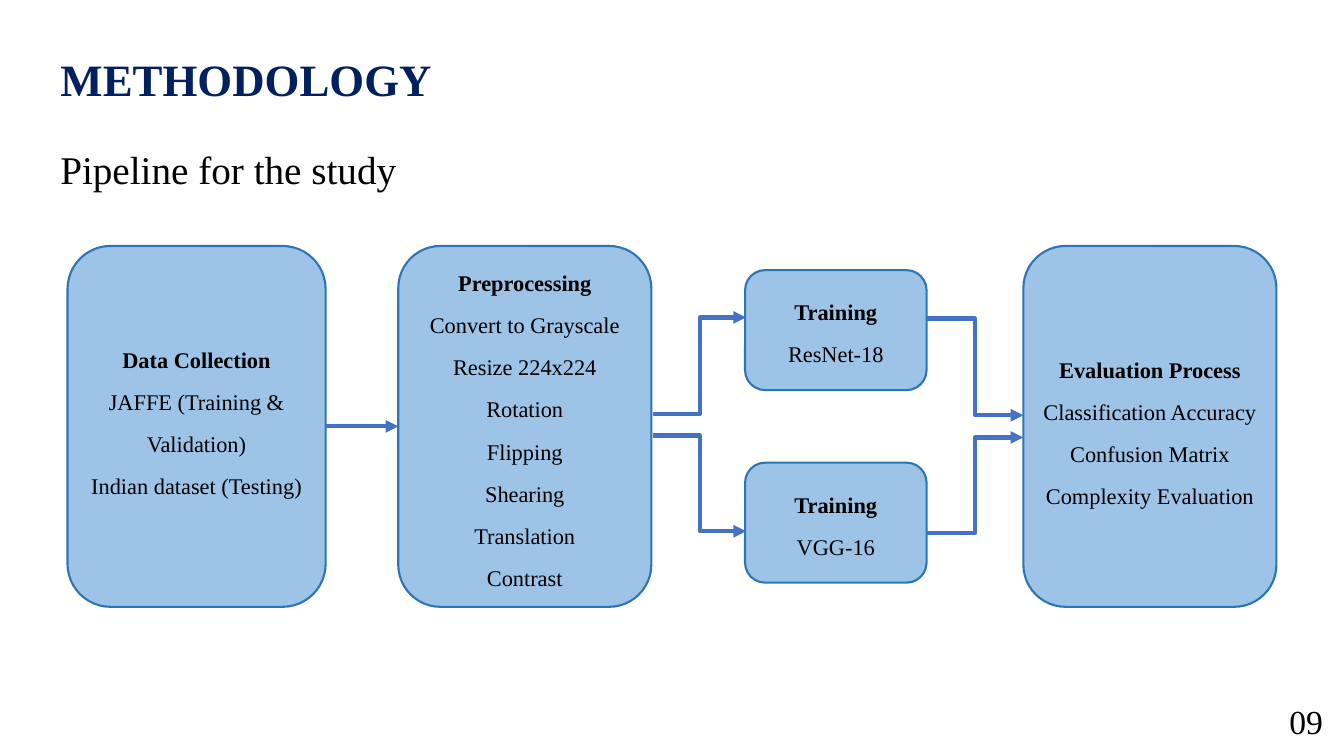
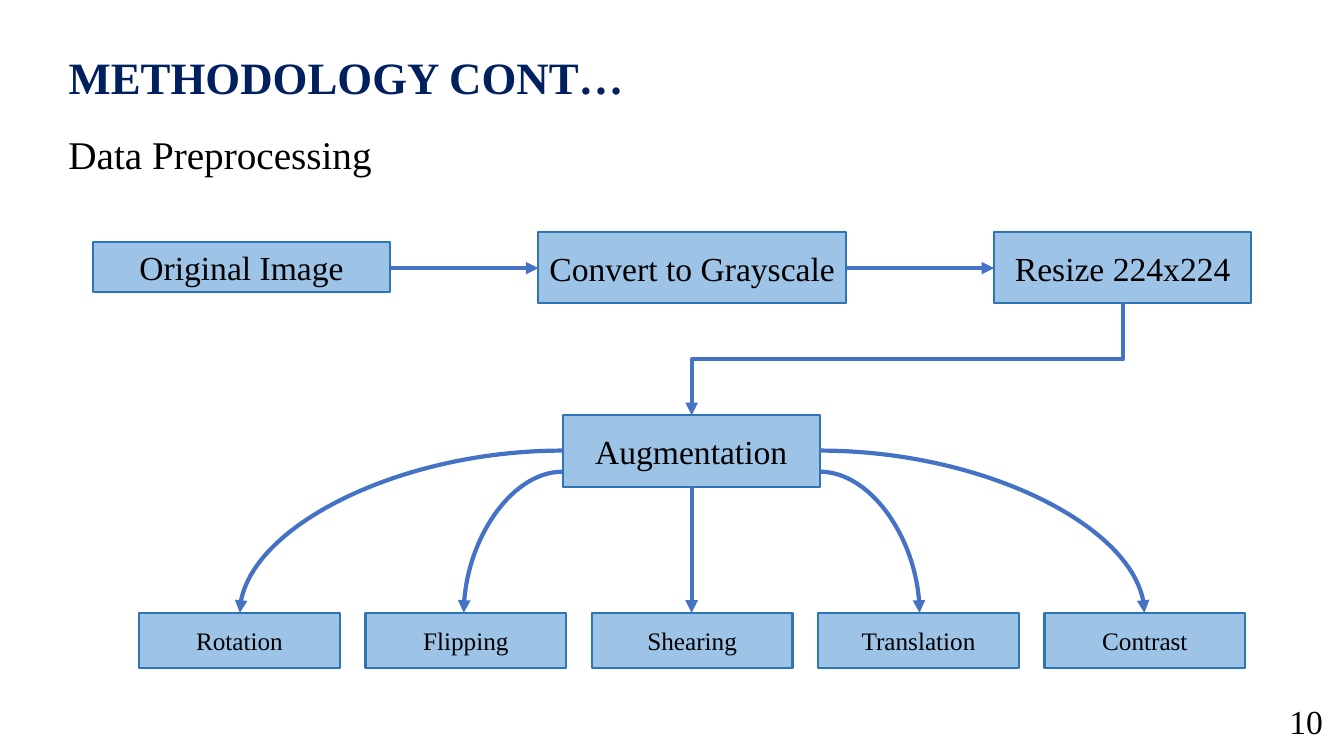
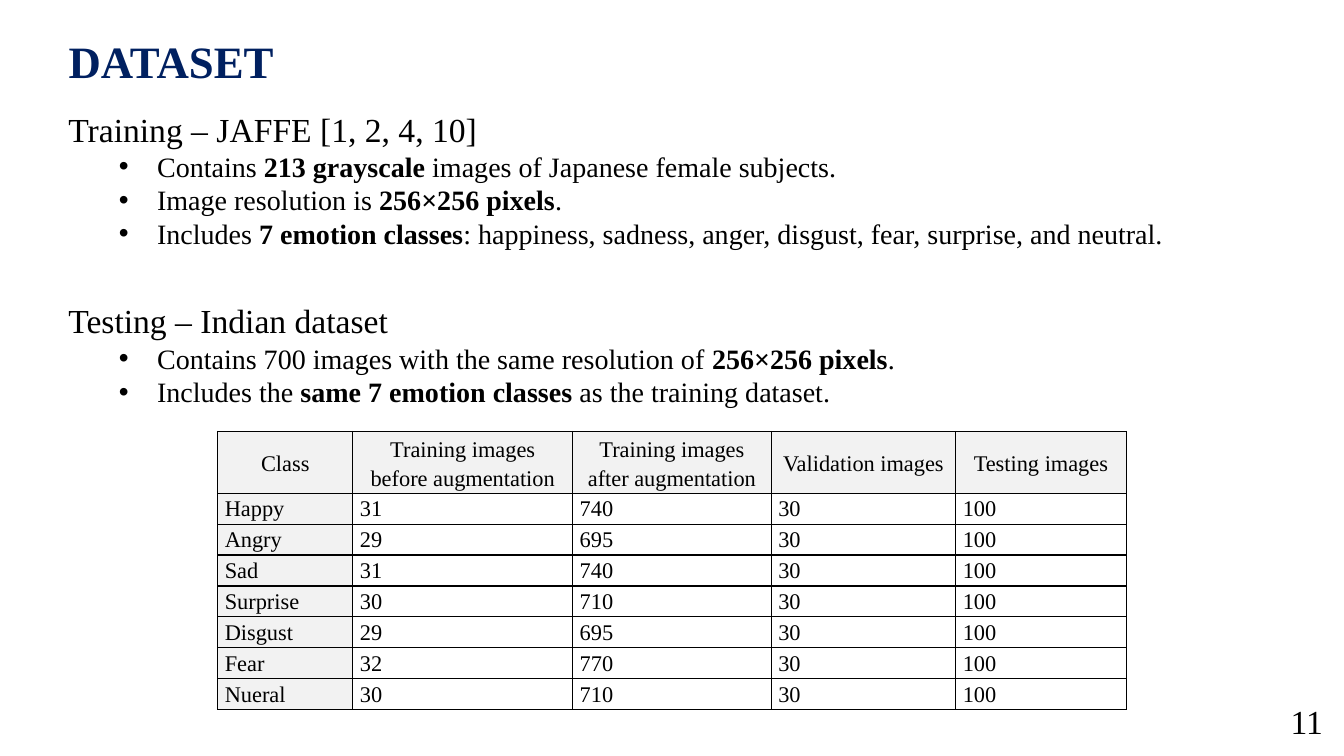
from lxml.etree import SubElement
from pptx import Presentation
from pptx.dml.color import RGBColor
from pptx.enum.shapes import MSO_CONNECTOR, MSO_SHAPE
from pptx.enum.text import MSO_ANCHOR, PP_ALIGN
from pptx.oxml.ns import qn
from pptx.util import Inches, Pt

FONT = "Times New Roman"
NAVY = RGBColor(0x00, 0x20, 0x60)
BLACK = RGBColor(0x00, 0x00, 0x00)
WHITE = RGBColor(0xFF, 0xFF, 0xFF)
GRAY = RGBColor(0xF2, 0xF2, 0xF2)
BOX_FILL = RGBColor(0x9D, 0xC3, 0xE6)
BOX_LINE = RGBColor(0x2E, 0x75, 0xB6)
ARROW = RGBColor(0x44, 0x72, 0xC4)

CLASS_COUNTS = [
    ("Class", "Training images before augmentation", "Training images after augmentation",
     "Validation images", "Testing images"),
    ("Happy", "31", "740", "30", "100"),
    ("Angry", "29", "695", "30", "100"),
    ("Sad", "31", "740", "30", "100"),
    ("Surprise", "30", "710", "30", "100"),
    ("Disgust", "29", "695", "30", "100"),
    ("Fear", "32", "770", "30", "100"),
    ("Nueral", "30", "710", "30", "100"),
]


def write(para, text, size=16, color=BLACK, bold=False, align=PP_ALIGN.LEFT,
          spacing=1.0, before=0, after=0):
    """Fill a paragraph; parts between asterisks switch to bold."""
    para.alignment = align
    para.line_spacing = spacing
    para.space_before, para.space_after = Pt(before), Pt(after)
    for index, part in enumerate(text.split("*")):
        if part:
            span = para.add_run()
            span.text = part
            span.font.name, span.font.size = FONT, Pt(size)
            span.font.color.rgb = color
            span.font.bold = bold or index % 2 == 1


def next_para(frame):
    """Return the empty first paragraph of a frame, or a new one."""
    first = frame.paragraphs[0]
    return frame.add_paragraph() if first.runs else first


def add_text(page, left, top, width, height, text, anchor=MSO_ANCHOR.TOP, **style):
    """Add a wrapped one-paragraph text box."""
    box = page.shapes.add_textbox(Inches(left), Inches(top), Inches(width), Inches(height))
    box.text_frame.word_wrap = True
    box.text_frame.vertical_anchor = anchor
    write(box.text_frame.paragraphs[0], text, **style)


def add_page(deck, title, number, left, top):
    """Add a slide with its styled title and page number."""
    page = deck.slides.add_slide(deck.slide_layouts[5])
    head = page.shapes.title
    head.left, head.top = Inches(left), Inches(top)
    head.width, head.height = Inches(11.5), Inches(0.94)
    head.text_frame.vertical_anchor = MSO_ANCHOR.MIDDLE
    write(head.text_frame.paragraphs[0], title, size=32, color=NAVY, bold=True, spacing=0.9)
    add_text(page, 12.18, 6.95, 1.04, 0.55, number, size=24, align=PP_ALIGN.RIGHT,
             spacing=0.9, before=10)
    return page


def add_subtitle(page, left, top, text):
    """Add the line under the title."""
    add_text(page, left, top, 11.5, 0.94, text, anchor=MSO_ANCHOR.MIDDLE, size=28, spacing=0.9)


def add_box(page, shape_kind, left, top, width, height):
    """Add a blue outlined box without text insets and return it."""
    box = page.shapes.add_shape(shape_kind, Inches(left), Inches(top),
                                Inches(width), Inches(height))
    box.shadow.inherit = False
    box.fill.solid()
    box.fill.fore_color.rgb = BOX_FILL
    box.line.color.rgb = BOX_LINE
    box.line.width = Pt(1.5)
    frame = box.text_frame
    frame.word_wrap = True
    frame.margin_left = frame.margin_right = frame.margin_top = frame.margin_bottom = 0
    return box


def add_stage(page, left, top, width, height, inset, heading, *steps):
    """Add a rounded pipeline stage with a bold heading and its steps."""
    frame = add_box(page, MSO_SHAPE.ROUNDED_RECTANGLE, left, top, width, height).text_frame
    frame.vertical_anchor = MSO_ANCHOR.TOP
    frame.margin_top = Inches(inset)
    for text in (f"*{heading}*", *steps):
        write(next_para(frame), text, align=PP_ALIGN.CENTER, spacing=1.15, after=8)


def add_node(page, left, top, width, height, text, size=24):
    """Add a flowchart rectangle with one centred label."""
    frame = add_box(page, MSO_SHAPE.RECTANGLE, left, top, width, height).text_frame
    frame.vertical_anchor = MSO_ANCHOR.MIDDLE
    write(frame.paragraphs[0], text, size=size, align=PP_ALIGN.CENTER)


def add_arrow(page, start, end, kind=MSO_CONNECTOR.STRAIGHT, downward=False):
    """Add an arrow; a downward elbow leaves its start vertically."""
    (x1, y1), (x2, y2) = start, end
    if downward:
        middle_x, middle_y = (x1 + x2) / 2, (y1 + y2) / 2
        half_x, half_y = (y2 - y1) / 2, (x1 - x2) / 2
        x1, y1 = middle_x - half_x, middle_y - half_y
        x2, y2 = middle_x + half_x, middle_y + half_y
    arrow = page.shapes.add_connector(kind, Inches(x1), Inches(y1), Inches(x2), Inches(y2))
    arrow.line.color.rgb = ARROW
    arrow.line.width = Pt(3)
    properties = arrow._element.spPr
    if downward:
        properties.find(qn("a:xfrm")).set("rot", "5400000")
    if kind == MSO_CONNECTOR.CURVE:
        properties.find(qn("a:prstGeom")).set("prst", "curvedConnector2")
    SubElement(properties.find(qn("a:ln")), qn("a:tailEnd"), type="triangle")
    SubElement(properties, qn("a:effectLst"))


def add_bullet(frame, text):
    """Add an indented, justified bullet paragraph."""
    para = next_para(frame)
    write(para, text, size=20, align=PP_ALIGN.JUSTIFY)
    properties = para._p.get_or_add_pPr()
    properties.set("marL", str(Inches(0.88)))
    properties.set("indent", str(Inches(-0.38)))
    SubElement(properties, qn("a:buFont"), typeface="Arial")
    SubElement(properties, qn("a:buChar"), char="•")


def set_borders(cell):
    """Draw thin black lines on all sides of a cell."""
    properties = cell._tc.get_or_add_tcPr()
    for index, side in enumerate(("a:lnL", "a:lnR", "a:lnT", "a:lnB")):
        line = properties.makeelement(qn(side), {"w": str(Pt(1))})
        properties.insert(index, line)
        SubElement(SubElement(line, qn("a:solidFill")), qn("a:srgbClr"), val=str(BLACK))


def add_grid(page, left, top, widths, heights, rows):
    """Add a bordered table with a gray first row and column."""
    table = page.shapes.add_table(len(rows), len(widths), Inches(left), Inches(top),
                                  Inches(sum(widths)), Inches(sum(heights))).table
    table.first_row = table.horz_banding = False
    for column, width in zip(table.columns, widths):
        column.width = Inches(width)
    for row, height, texts in zip(table.rows, heights, rows):
        row.height = Inches(height)
        header = texts is rows[0]
        for index, (cell, text) in enumerate(zip(row.cells, texts)):
            cell.margin_left = cell.margin_right = Inches(0.07)
            cell.margin_top = cell.margin_bottom = 0
            cell.vertical_anchor = MSO_ANCHOR.MIDDLE if header else MSO_ANCHOR.TOP
            cell.fill.solid()
            cell.fill.fore_color.rgb = GRAY if header or index == 0 else WHITE
            set_borders(cell)
            write(cell.text_frame.paragraphs[0], text, spacing=1.15, after=8,
                  align=PP_ALIGN.CENTER if header else PP_ALIGN.LEFT)


def build_pipeline(deck):
    """Build the study pipeline slide."""
    page = add_page(deck, "METHODOLOGY", "09", 0.5, 0.34)
    add_subtitle(page, 0.5, 1.23, "Pipeline for the study")
    add_stage(page, 0.67, 2.44, 2.56, 3.58, 0.83, "Data Collection",
              "JAFFE (Training &", "Validation)", "Indian dataset (Testing)")
    add_stage(page, 3.95, 2.44, 2.51, 3.58, 0.07, "Preprocessing", "Convert to Grayscale",
              "Resize 224x224", "Rotation", "Flipping", "Shearing", "Translation", "Contrast")
    for top, model in ((2.68, "ResNet-18"), (4.59, "VGG-16")):
        add_stage(page, 7.39, top, 1.8, 1.19, 0.18, "Training", model)
    add_stage(page, 10.15, 2.44, 2.51, 3.58, 0.93, "Evaluation Process",
              "Classification Accuracy", "Confusion Matrix", "Complexity Evaluation")
    add_arrow(page, (3.23, 4.23), (3.95, 4.23))
    for start, end in (((6.48, 4.11), (7.4, 3.15)), ((6.48, 4.32), (7.4, 5.27)),
                       ((9.19, 3.16), (10.15, 4.12)), ((9.19, 5.29), (10.15, 4.34))):
        add_arrow(page, start, end, MSO_CONNECTOR.ELBOW)


def build_preprocessing(deck):
    """Build the preprocessing flowchart slide."""
    page = add_page(deck, "METHODOLOGY CONT…", "10", 0.58, 0.32)
    add_subtitle(page, 0.58, 1.09, "Data Preprocessing")
    add_node(page, 0.92, 2.4, 2.95, 0.5, "Original Image")
    add_node(page, 5.34, 2.3, 3.05, 0.71, "Convert to Grayscale")
    add_node(page, 9.86, 2.3, 2.55, 0.71, "Resize 224x224")
    add_node(page, 5.58, 4.12, 2.55, 0.71, "Augmentation")
    for index, name in enumerate(("Rotation", "Flipping", "Shearing", "Translation", "Contrast")):
        add_node(page, 1.38 + index * 2.245, 6.08, 1.99, 0.55, name, size=18)
    add_arrow(page, (3.87, 2.66), (5.34, 2.66))
    add_arrow(page, (8.39, 2.66), (9.86, 2.66))
    add_arrow(page, (11.14, 3.01), (6.86, 4.12), MSO_CONNECTOR.ELBOW, downward=True)
    add_arrow(page, (6.86, 4.83), (6.86, 6.08))
    for start, end_x in (((5.58, 4.47), 2.38), ((5.58, 4.68), 4.6),
                         ((8.13, 4.68), 9.12), ((8.13, 4.47), 11.35)):
        add_arrow(page, start, (end_x, 6.08), MSO_CONNECTOR.CURVE)


def build_dataset(deck):
    """Build the dataset slide with its table of class counts."""
    page = add_page(deck, "DATASET", "11", 0.58, 0.16)
    box = page.shapes.add_textbox(Inches(0.58), Inches(0.87), Inches(11.5), Inches(3.2))
    frame = box.text_frame
    frame.word_wrap = True
    heading = {"size": 24, "align": PP_ALIGN.JUSTIFY, "spacing": 1.4}
    write(next_para(frame), "Training – JAFFE [1, 2, 4, 10]", **heading)
    add_bullet(frame, "Contains *213 grayscale *images of Japanese female subjects.")
    add_bullet(frame, "Image resolution is *256×256 pixels*.")
    add_bullet(frame, "Includes *7 emotion classes*: happiness, sadness, anger, disgust, "
                      "fear, surprise, and neutral.")
    write(next_para(frame), "Testing – Indian dataset", before=24, after=1, **heading)
    add_bullet(frame, "Contains 700 images with the same resolution of *256×256 pixels*.")
    add_bullet(frame, "Includes the *same 7 emotion classes *as the training dataset.")
    add_grid(page, 2.16, 4.28, (1.34, 2.18, 1.97, 1.83, 1.69),
             [0.57] + [0.28] * (len(CLASS_COUNTS) - 1), CLASS_COUNTS)


def main():
    """Build and save the deck."""
    deck = Presentation()
    deck.slide_width, deck.slide_height = Inches(13.33), Inches(7.5)
    build_pipeline(deck)
    build_preprocessing(deck)
    build_dataset(deck)
    deck.save("out.pptx")


if __name__ == "__main__":
    main()
